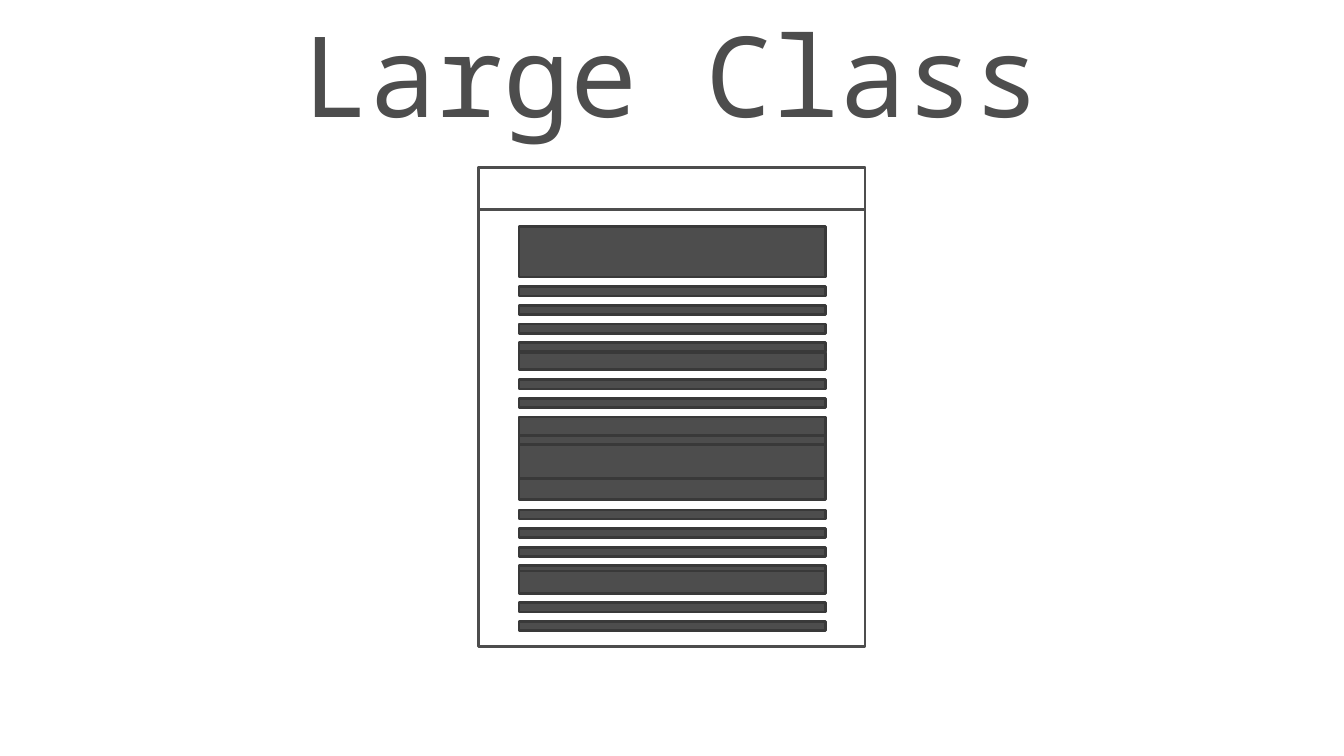
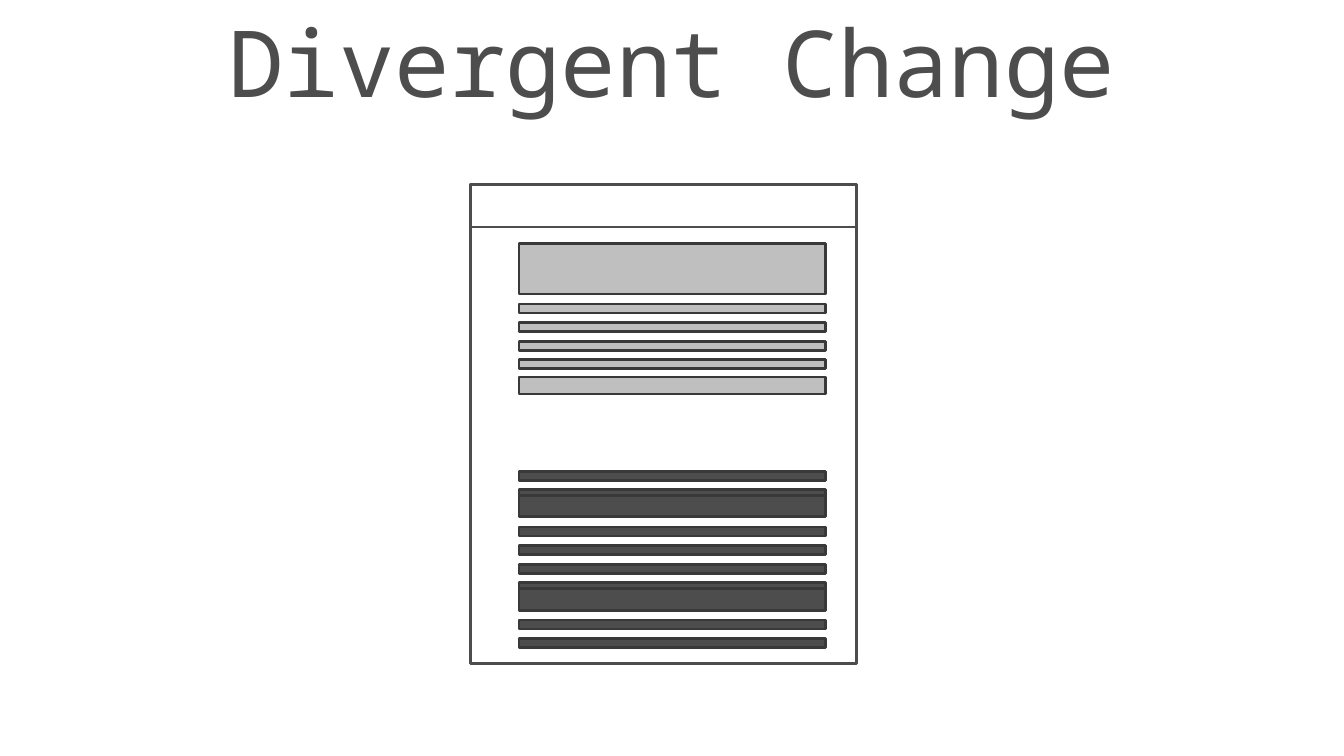
from pptx import Presentation
from pptx.dml.color import RGBColor
from pptx.enum.shapes import MSO_SHAPE
from pptx.enum.text import MSO_ANCHOR, MSO_AUTO_SIZE, PP_ALIGN
from pptx.util import Cm, Pt

INK = "4D4D4D"
EDGE = "393939"
LIGHT = "BFBFBF"
WHITE = "FFFFFF"
FONT = "Noto Sans Mono"

CARD_WIDTH, CARD_HEIGHT, HEADER_HEIGHT = 9.74, 12.07, 1.06
BAR_LEFT, BAR_WIDTH, THIN_HEIGHT = 13.08, 7.72, 0.23
FIRST_ROW, LAST_ROW, ROW_STEPS = 3.0, 11.43, 18
ROW_PITCH = (LAST_ROW - FIRST_ROW) / ROW_STEPS

FIELDS = (1.48, 1.27)
UPPER_METHOD = (4.66, 0.43)
LOWERED_METHOD = (4.84, 0.43)
LONG_METHOD = (6.28, 1.75)
MIDDLE_METHOD = (7.83, 0.53)
LAST_METHOD = (10.16, 0.56)


def color(value):
    return RGBColor.from_string(value)


class ClassDeck:
    def __init__(self):
        self.deck = Presentation()
        self.deck.slide_width = Cm(33.87)
        self.deck.slide_height = Cm(19.05)
        self.page = None
        self.group = None
        self.card_top = 0

    def add_page(self, title, size, height):
        self.page = self.deck.slides.add_slide(self.deck.slide_layouts[5])
        box = self.page.shapes.title
        box.left, box.top, box.width, box.height = Cm(4.23), Cm(0), Cm(25.4), Cm(height)
        frame = box.text_frame
        frame.word_wrap = True
        frame.auto_size = MSO_AUTO_SIZE.SHAPE_TO_FIT_TEXT
        frame.vertical_anchor = MSO_ANCHOR.MIDDLE
        para = frame.paragraphs[0]
        para.alignment = PP_ALIGN.CENTER
        span = para.add_run()
        span.text = title
        span.font.name = FONT
        span.font.size = Pt(size)
        span.font.color.rgb = color(INK)

    def add_box(self, left, top, width, height, fill, line):
        box = self.group.shapes.add_shape(
            MSO_SHAPE.RECTANGLE, Cm(left), Cm(top), Cm(width), Cm(height))
        box.shadow.inherit = False
        box.fill.solid()
        box.fill.fore_color.rgb = color(fill)
        box.line.color.rgb = color(line)
        box.line.width = Pt(2)

    def add_card(self, left, top):
        self.group = self.page.shapes.add_group_shape()
        self.card_top = top
        for height in (CARD_HEIGHT, HEADER_HEIGHT):
            self.add_box(left, top, CARD_WIDTH, height, WHITE, INK)

    def add_bars(self, rows, blocks, fill):
        thin_bars = [(FIRST_ROW + row * ROW_PITCH, THIN_HEIGHT) for row in rows]
        for offset, height in sorted(thin_bars + blocks):
            self.add_box(BAR_LEFT, self.card_top + offset, BAR_WIDTH, height, fill, EDGE)


def main():
    slides = ClassDeck()

    slides.add_page("Large Class", 80, 3.68)
    slides.add_card(12.06, 4.23)
    slides.add_bars([0, 1, 2, 3, 5, 6, 8, 12, 13, 14, 15, 17, 18],
                    [FIELDS, UPPER_METHOD, LONG_METHOD, MIDDLE_METHOD, LAST_METHOD], INK)

    slides.add_page("Divergent Change", 66, 3.07)
    slides.add_card(11.85, 4.66)
    slides.add_bars([0, 1, 2, 3], [FIELDS, LOWERED_METHOD], LIGHT)
    slides.add_bars([9, 10, 12, 13, 14, 15, 17, 18], [MIDDLE_METHOD, LAST_METHOD], INK)

    slides.deck.save("out.pptx")


if __name__ == "__main__":
    main()
